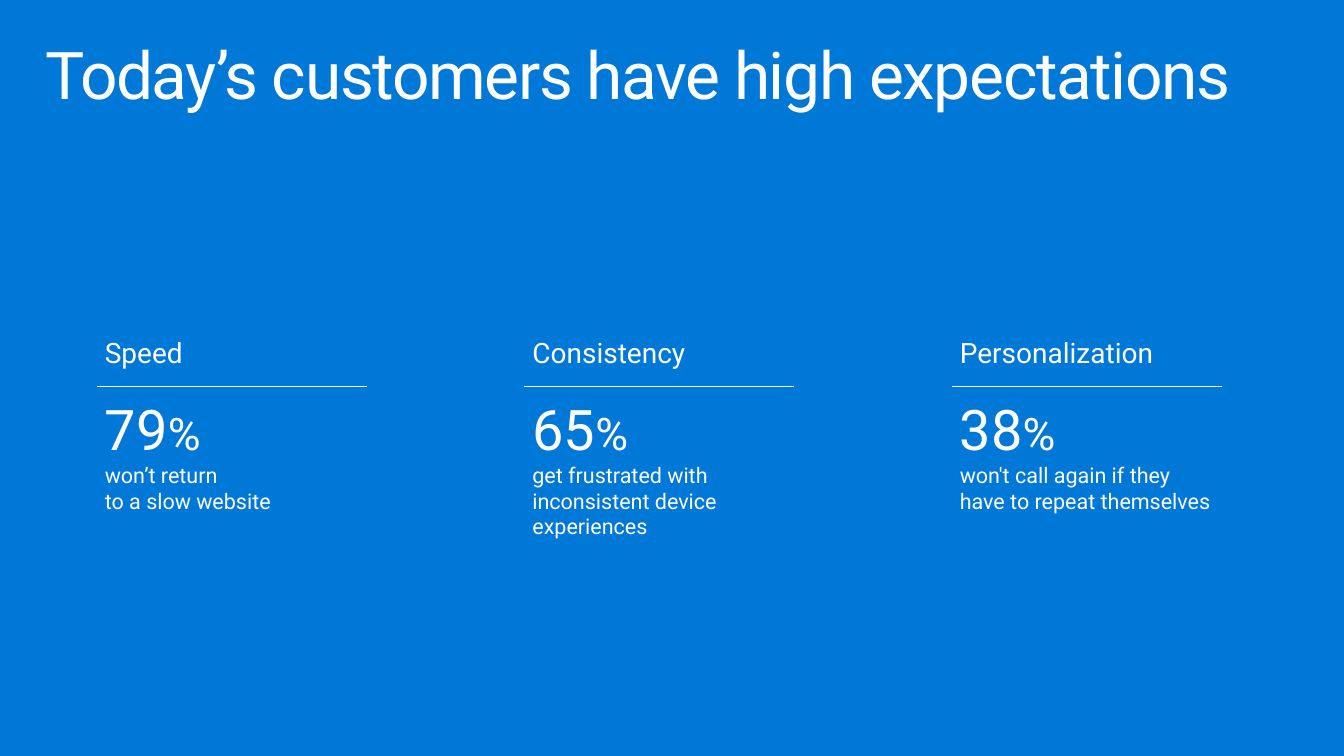
from pptx import Presentation
from pptx.dml.color import RGBColor
from pptx.enum.shapes import MSO_CONNECTOR
from pptx.enum.text import MSO_ANCHOR, MSO_AUTO_SIZE, PP_ALIGN
from pptx.oxml.ns import qn
from pptx.util import Inches, Pt
from lxml import etree

STRAIGHT = MSO_CONNECTOR.STRAIGHT
TOP = MSO_ANCHOR.TOP
NO_FIT = MSO_AUTO_SIZE.NONE
LEFT = PP_ALIGN.LEFT

TITLE = "Today’s customers have high expectations"
EXPECTATIONS = [
    ("Speed", "79", "won’t return\nto a slow website", 3.3),
    ("Consistency", "65", "get frustrated with\ninconsistent device experiences", 3.31),
    ("Personalization", "38", "won't call again if they have to repeat themselves", 2.94),
]

COLORS = {"background": "0078D7", "foreground": "FFFFFF"}
FONT = "Roboto"
SLIDE_WIDTH, SLIDE_HEIGHT = 13.33, 7.5
RULE_LEFT, RULE_TOP, RULE_WIDTH = 0.96, 3.83, 2.68
COLUMN_PITCH = 4.24
BOX_OUTDENT, BOX_TOP, BOX_HEIGHT = 0.16, 3.14, 1.26


def color(name):
    return RGBColor.from_string(COLORS[name])


def add_text(para, text, *, size, tracking=None):
    for index, line in enumerate(text.split("\n")):
        if index:
            para.add_line_break()
        if not line:
            continue
        span = para.add_run()
        span.text = line
        span.font.size = Pt(size)
        span.font.name = FONT
        span.font.color.rgb = color("foreground")
        if tracking is not None:
            span.font._element.set("spc", str(round(tracking * 100)))


def prepare_frame(box, left, top, right, bottom):
    frame = box.text_frame
    frame.word_wrap = True
    frame.auto_size = NO_FIT
    frame.vertical_anchor = TOP
    frame.margin_left, frame.margin_top = Inches(left), Inches(top)
    frame.margin_right, frame.margin_bottom = Inches(right), Inches(bottom)
    return frame


def add_title(slide):
    title = slide.shapes.title
    title.left, title.top = Inches(0.29), Inches(0.32)
    title.width, title.height = Inches(12.75), Inches(0.98)
    para = prepare_frame(title, 0.16, 0.1, 0.16, 0.1).paragraphs[0]
    para.alignment = LEFT
    para.line_spacing = 0.9
    add_text(para, TITLE, size=47, tracking=-1)


def add_expectation(slide, column, heading, figure, finding, width):
    rule_left = RULE_LEFT + column * COLUMN_PITCH
    box = slide.shapes.add_textbox(
        Inches(rule_left - BOX_OUTDENT), Inches(BOX_TOP), Inches(width), Inches(BOX_HEIGHT)
    )
    frame = prepare_frame(box, 0.24, 0.19, 0.19, 0.19)
    heading_para = frame.paragraphs[0]
    heading_para.space_after = Pt(18)
    add_text(heading_para, heading, size=20)
    finding_para = frame.add_paragraph()
    finding_para.space_after = Pt(4.8)
    add_text(finding_para, figure, size=40)
    add_text(finding_para, "%", size=32)
    add_text(finding_para, "\n" + finding, size=15.4)

    rule = slide.shapes.add_connector(
        STRAIGHT, Inches(rule_left), Inches(RULE_TOP),
        Inches(rule_left + RULE_WIDTH), Inches(RULE_TOP),
    )
    rule.line.color.rgb = color("foreground")
    rule.line.width = Pt(0.75)
    etree.SubElement(rule._element.spPr, qn("a:effectLst"))


def main():
    deck = Presentation()
    deck.slide_width, deck.slide_height = Inches(SLIDE_WIDTH), Inches(SLIDE_HEIGHT)
    slide = deck.slides.add_slide(deck.slide_layouts.get_by_name("Title Only"))
    slide.background.fill.solid()
    slide.background.fill.fore_color.rgb = color("background")
    add_title(slide)
    for column, expectation in enumerate(EXPECTATIONS):
        add_expectation(slide, column, *expectation)
    deck.save("out.pptx")


if __name__ == "__main__":
    main()
